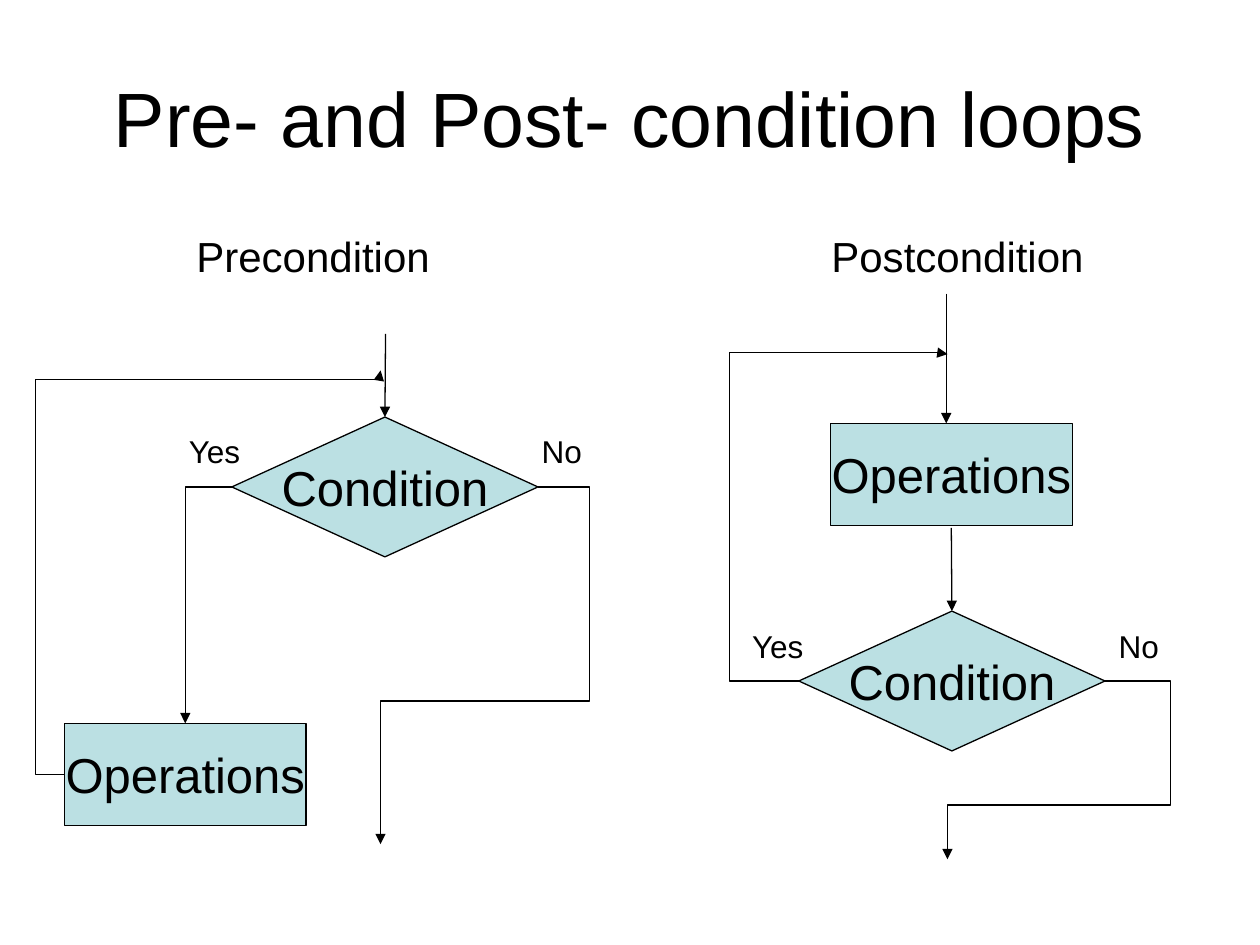
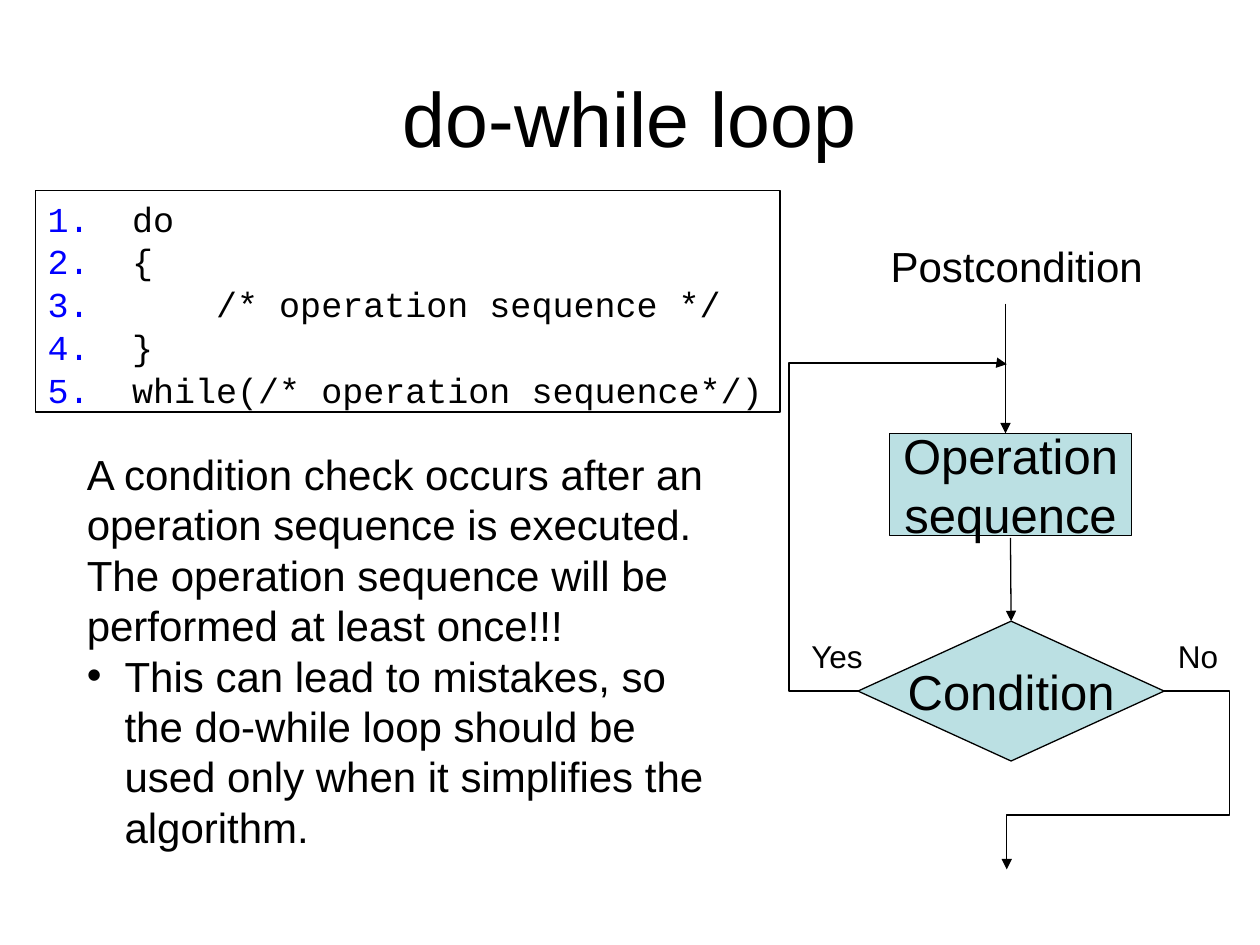
from dataclasses import dataclass

from lxml.etree import SubElement
from pptx import Presentation
from pptx.dml.color import RGBColor
from pptx.enum.shapes import MSO_CONNECTOR as Link, MSO_SHAPE as Preset
from pptx.enum.text import MSO_ANCHOR as Anchor, MSO_AUTO_SIZE as AutoSize, PP_ALIGN as Align
from pptx.oxml.ns import qn
from pptx.util import Inches, Pt

BLACK = RGBColor(0x00, 0x00, 0x00)
PALE_TEAL = RGBColor(0xBB, 0xE0, 0xE3)
NUMBER_BLUE = RGBColor(0x00, 0x00, 0xFF)
SANS = "Arial"
MONO = "Courier New"
LINE_WIDTH = Pt(0.75)
DIAMOND_SIZE = (2.43, 1.11)
BLOCK_SIZE = (1.92, 0.81)
TOP, LEFT, RIGHT = 0, 1, 3

Point = tuple[float, float]


@dataclass
class Node:
    text: str
    place: Point
    preset: Preset = Preset.DIAMOND

    @property
    def size(self) -> Point:
        return DIAMOND_SIZE if self.preset == Preset.DIAMOND else BLOCK_SIZE


@dataclass
class Label:
    text: str
    place: Point
    size: Point
    points: int = 18


@dataclass
class Arrow:
    start: Point
    end: Point
    target: str = ""


@dataclass
class Route:
    """A bent arrow from a node side; corner holds the x and y where it turns."""
    source: str
    side: int
    start: Point
    end: Point
    corner: Point | None = None
    turned: bool = False


@dataclass
class Flowchart:
    nodes: dict[str, Node]
    labels: list[Label]
    arrows: list[Arrow]
    routes: list[Route]


def yes_label(x: float, y: float) -> Label:
    return Label("Yes", (x, y), (0.61, 0.4))


def no_label(x: float, y: float) -> Label:
    return Label("No", (x, y), (0.52, 0.4))


def precondition() -> Flowchart:
    return Flowchart(
        nodes={
            "condition": Node("Condition", (1.84, 3.31)),
            "operations": Node("Operations", (0.51, 5.74), Preset.RECTANGLE),
        },
        labels=[
            Label("Precondition", (1.46, 1.78), (2.08, 0.5), 24),
            yes_label(1.4, 3.38),
            no_label(4.2, 3.38),
        ],
        arrows=[Arrow((3.06, 2.65), (3.06, 3.31), "condition")],
        routes=[
            Route("condition", LEFT, (1.84, 3.86), (1.47, 5.74), turned=True),
            Route("operations", LEFT, (0.51, 6.15), (3.02, 2.94), (0.28, 3.01), turned=True),
            Route("condition", RIGHT, (4.27, 3.86), (3.02, 6.7), (4.68, 5.56)),
        ],
    )


def postcondition(operations: str) -> Flowchart:
    return Flowchart(
        nodes={
            "condition": Node("Condition", (6.34, 4.85)),
            "operations": Node(operations, (6.59, 3.36), Preset.RECTANGLE),
        },
        labels=[
            Label("Postcondition", (6.5, 1.78), (2.22, 0.5), 24),
            yes_label(5.87, 4.93),
            no_label(8.78, 4.93),
        ],
        arrows=[
            Arrow((7.55, 4.19), (7.56, 4.85), "condition"),
            Arrow((7.51, 2.33), (7.51, 3.36)),
        ],
        routes=[
            Route("condition", RIGHT, (8.77, 5.41), (7.52, 6.82), (9.29, 6.39)),
            Route("condition", LEFT, (6.34, 5.41), (7.52, 2.81), (5.79, 2.8), turned=True),
        ],
    )


def lengths(*values: float) -> list[Inches]:
    return [Inches(value) for value in values]


def write_text(shape, text: str, *, points: int, font: str = SANS, align=Align.LEFT,
               anchor=Anchor.TOP, wrap: bool = True, grow: bool = False) -> list:
    """Fill the shape with one paragraph a line and return the paragraphs."""
    frame = shape.text_frame
    frame.text = text
    frame.word_wrap = wrap
    frame.vertical_anchor = anchor
    frame.auto_size = AutoSize.SHAPE_TO_FIT_TEXT if grow else AutoSize.NONE
    for para in frame.paragraphs:
        para.alignment = align
        for span in para.runs:
            span.font.name = font
            span.font.size = Pt(points)
            span.font.color.rgb = BLACK
    return list(frame.paragraphs)


def hang_bullet(para, indent: float, *, character: str = "", color: RGBColor = BLACK) -> None:
    """Hang a bullet character, or a running number when none is given."""
    properties = para._p.get_or_add_pPr()
    properties.set("marL", str(Inches(indent)))
    properties.set("indent", str(-Inches(indent)))
    bullet_color = SubElement(properties, qn("a:buClr"))
    SubElement(bullet_color, qn("a:srgbClr"), val=str(color))
    if character:
        SubElement(properties, qn("a:buFont"), typeface=SANS)
        SubElement(properties, qn("a:buChar"), char=character)
    else:
        SubElement(properties, qn("a:buFont"), typeface=MONO)
        SubElement(properties, qn("a:buAutoNum"), type="arabicPeriod")


def add_title(page, text: str) -> None:
    box = page.shapes.add_textbox(*lengths(0.5, 0.3, 9, 1.25))
    write_text(box, text, points=44, align=Align.CENTER, anchor=Anchor.MIDDLE)


def add_outlined(page, preset, place: Point, size: Point):
    shape = page.shapes.add_shape(preset, *lengths(*place, *size))
    shape.shadow.inherit = False
    shape.line.color.rgb = BLACK
    shape.line.width = LINE_WIDTH
    return shape


def add_arrow(page, kind, start: Point, end: Point):
    arrow = page.shapes.add_connector(kind, *lengths(*start, *end))
    arrow.line.color.rgb = BLACK
    arrow.line.width = LINE_WIDTH
    SubElement(arrow.line._get_or_add_ln(), qn("a:tailEnd"), type="triangle")
    SubElement(arrow._element.spPr, qn("a:effectLst"))
    return arrow


def bend(arrow, route: Route, start: Point, end: Point, corner: Point | None) -> None:
    """Give the connector one corner, or three with the turns at corner."""
    properties = arrow._element.spPr
    geometry = properties.find(qn("a:prstGeom"))
    geometry.set("prst", "bentConnector4" if corner else "bentConnector2")
    if corner:
        guides = geometry.find(qn("a:avLst"))
        for axis in (0, 1):
            share = (corner[axis] - start[axis]) / (end[axis] - start[axis])
            SubElement(guides, qn("a:gd"), name=f"adj{axis + 1}",
                       fmla=f"val {round(share * 100000)}")
    if route.turned:
        frame = properties.find(qn("a:xfrm"))
        frame.set("rot", "10800000")
        for flip in ("flipH", "flipV"):
            frame.set(flip, "0" if frame.get(flip) == "1" else "1")


def draw_flowchart(page, chart: Flowchart, offset: Point = (0, 0)) -> None:
    def shifted(point: Point) -> Point:
        return point[0] + offset[0], point[1] + offset[1]

    shapes = {}
    for name, node in chart.nodes.items():
        shape = add_outlined(page, node.preset, shifted(node.place), node.size)
        shape.fill.solid()
        shape.fill.fore_color.rgb = PALE_TEAL
        write_text(shape, node.text, points=28, align=Align.CENTER,
                   anchor=Anchor.MIDDLE, wrap=False)
        shapes[name] = shape
    for label in chart.labels:
        box = page.shapes.add_textbox(*lengths(*shifted(label.place), *label.size))
        write_text(box, label.text, points=label.points, wrap=False, grow=True)
    for arrow in chart.arrows:
        line = add_arrow(page, Link.STRAIGHT, shifted(arrow.start), shifted(arrow.end))
        if arrow.target:
            line.end_connect(shapes[arrow.target], TOP)
    for route in chart.routes:
        start, end = shifted(route.start), shifted(route.end)
        line = add_arrow(page, Link.ELBOW, start, end)
        line.begin_connect(shapes[route.source], route.side)
        bend(line, route, start, end, shifted(route.corner) if route.corner else None)


def add_code(page, code: str) -> None:
    box = add_outlined(page, Preset.RECTANGLE, (0.28, 1.51), (5.91, 1.76))
    box.fill.background()
    paras = write_text(box, code, points=20, font=MONO)
    box.text_frame.margin_top = Inches(0.12)
    for number, para in enumerate(paras):
        para.line_spacing = 0.8
        if number:
            para.space_before = Pt(5.2)
        hang_bullet(para, 0.67, color=NUMBER_BLUE)


def add_remarks(page, text: str) -> None:
    box = page.shapes.add_textbox(*lengths(0.59, 3.51, 5.35, 3.74))
    paras = write_text(box, text, points=24, grow=True)
    hang_bullet(paras[-1], 0.3, character="•")


def build_loops_page(page) -> None:
    add_title(page, "Pre- and Post- condition loops")
    draw_flowchart(page, precondition())
    draw_flowchart(page, postcondition("Operations"))


def build_do_while_page(page) -> None:
    add_title(page, "do-while loop")
    add_code(page, "do\n{\n    /* operation sequence */\n}\nwhile(/* operation sequence*/)")
    draw_flowchart(page, postcondition("Operation\nsequence"), offset=(0.47, 0.08))
    add_remarks(page, "A condition check occurs after an operation sequence is executed.\n"
                      "The operation sequence will be performed at least once!!!\n"
                      "This can lead to mistakes, so the do-while loop should be used "
                      "only when it simplifies the algorithm.")


def main() -> None:
    deck = Presentation()
    deck.slide_width, deck.slide_height = lengths(10, 7.5)
    blank = deck.slide_layouts[6]
    for build in (build_loops_page, build_do_while_page):
        build(deck.slides.add_slide(blank))
    deck.save("out.pptx")


if __name__ == "__main__":
    main()
